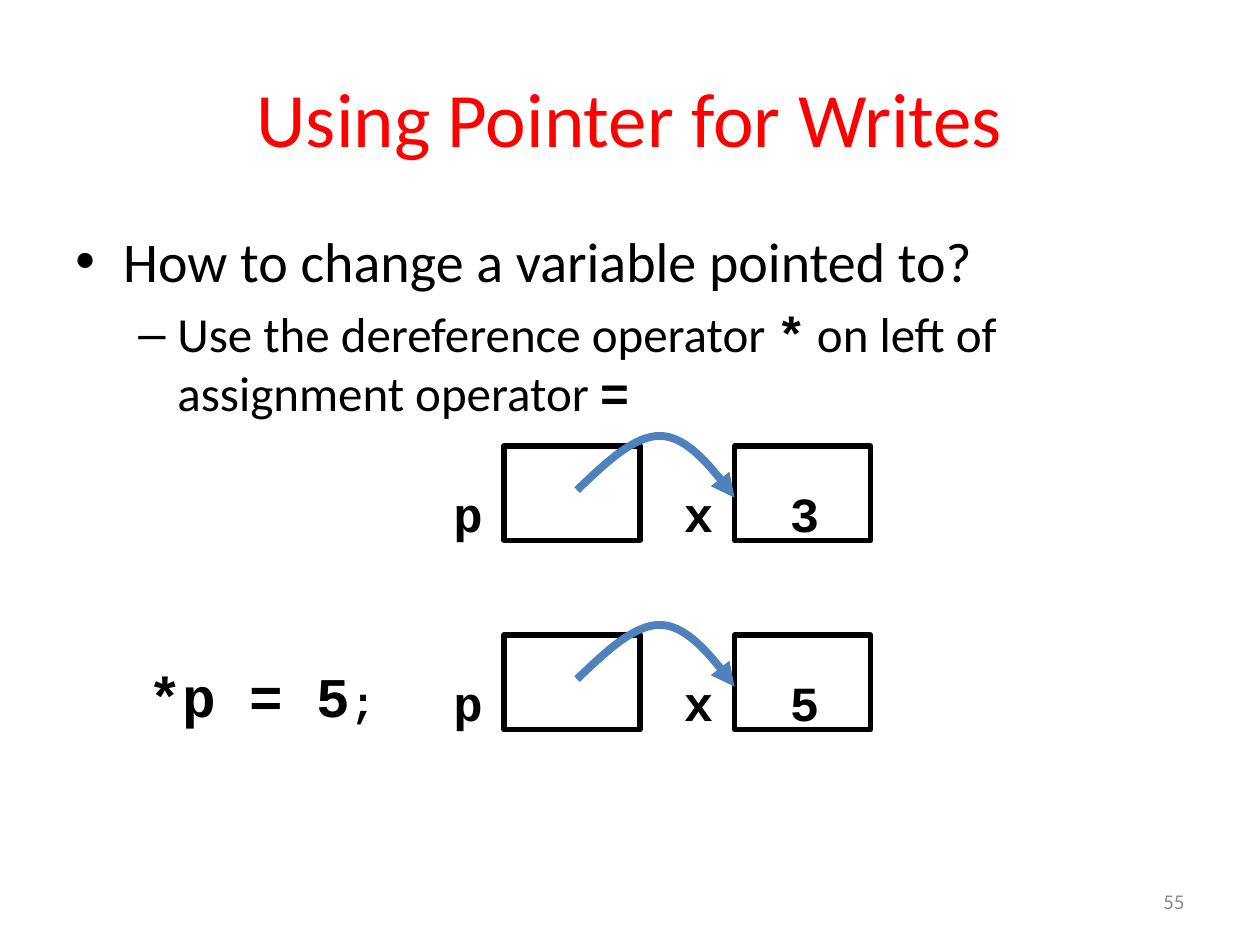
from dataclasses import dataclass

from lxml.etree import SubElement
from pptx import Presentation
from pptx.dml.color import RGBColor
from pptx.enum.shapes import MSO_SHAPE
from pptx.enum.text import MSO_ANCHOR, MSO_AUTO_SIZE, PP_ALIGN
from pptx.oxml.ns import qn
from pptx.util import Inches, Pt


@dataclass(frozen=True)
class Theme:
    sans: str = "Calibri"
    mono: str = "Courier New"
    ink: str = "000000"
    title_ink: str = "FF0000"
    accent: str = "4F81BD"
    muted: str = "8C8C8C"
    title: int = 44
    bullet: int = 32
    body: int = 28
    code_tail: int = 24
    footer: int = 12
    border: float = 3
    arrow: float = 4.5


class SlideBuilder:
    """Draws styled elements on one slide."""

    def __init__(self, slide, theme):
        self.slide = slide
        self.theme = theme

    def run(self, paragraph, text, size, code=False, color=None):
        run = paragraph.add_run()
        run.text = text
        run.font.name = self.theme.mono if code else self.theme.sans
        run.font.size = Pt(size)
        run.font.bold = code
        run.font.color.rgb = RGBColor.from_string(color or self.theme.ink)

    def text_frame(self, shapes, left, top, width, height, anchor=MSO_ANCHOR.TOP, wrap=True):
        box = shapes.add_textbox(Inches(left), Inches(top), Inches(width), Inches(height))
        frame = box.text_frame
        frame.word_wrap = wrap
        frame.vertical_anchor = anchor
        frame.auto_size = MSO_AUTO_SIZE.NONE if wrap else MSO_AUTO_SIZE.SHAPE_TO_FIT_TEXT
        return frame

    def label(self, left, top, width, height, text, size, color, align):
        frame = self.text_frame(self.slide.shapes, left, top, width, height, MSO_ANCHOR.MIDDLE)
        paragraph = frame.paragraphs[0]
        paragraph.alignment = align
        self.run(paragraph, text, size, color=color)

    def code(self, shapes, left, top, width, height, parts):
        frame = self.text_frame(shapes, left, top, width, height, wrap=False)
        for text, size in parts:
            self.run(frame.paragraphs[0], text, size, code=True)

    def bullet(self, paragraph, level, character, margin, hanging, size, parts):
        paragraph.level = level
        paragraph.space_before = Pt(size * 0.2)
        properties = paragraph._p.get_or_add_pPr()
        properties.set("marL", str(Inches(margin)))
        properties.set("indent", str(-Inches(hanging)))
        SubElement(properties, qn("a:buFont"), typeface="Arial")
        SubElement(properties, qn("a:buChar"), char=character)
        for text, code in parts:
            self.run(paragraph, text, size, code)

    def cell(self, shapes, left, top):
        shape = shapes.add_shape(
            MSO_SHAPE.RECTANGLE, Inches(left), Inches(top), Inches(1.08), Inches(0.75)
        )
        shape.shadow.inherit = False
        shape.fill.background()
        self.outline(shape, self.theme.ink, self.theme.border)

    def outline(self, shape, color, width):
        shape.line.color.rgb = RGBColor.from_string(color)
        shape.line.width = Pt(width)

    def curved_arrow(self, shapes, start, curves, steps=16):
        points = [start]
        for curve in curves:
            controls = (points[-1], *curve)
            for step in range(1, steps + 1):
                t = step / steps
                weights = ((1 - t) ** 3, 3 * t * (1 - t) ** 2, 3 * t * t * (1 - t), t**3)
                points.append(
                    tuple(sum(w * c[axis] for w, c in zip(weights, controls)) for axis in (0, 1))
                )
        corners = [(Inches(x), Inches(y)) for x, y in points]
        builder = shapes.build_freeform(*corners[0])
        builder.add_line_segments(corners[1:], close=False)
        shape = builder.convert_to_shape()
        shape.shadow.inherit = False
        shape.fill.background()
        self.outline(shape, self.theme.accent, self.theme.arrow)
        line = shape.line._get_or_add_ln()
        SubElement(line, qn("a:round"))
        SubElement(line, qn("a:tailEnd"), type="triangle")

    def pointer_diagram(self, top, value):
        shapes = self.slide.shapes.add_group_shape().shapes
        for name, left in (("p", 4), ("x", 5.83)):
            self.cell(shapes, left, top)
            self.code(shapes, left - 0.5, top + 0.25, 0.43, 0.57, [(name, self.theme.body)])
        self.code(shapes, 6.17, top + 0.25, 0.43, 0.57, [(value, self.theme.body)])
        curves = (
            ((4.81, top + 0.13), (5.04, top - 0.09), (5.25, top - 0.08)),
            ((5.46, top - 0.07), (5.65, top + 0.17), (5.83, top + 0.41)),
        )
        self.curved_arrow(shapes, (4.58, top + 0.35), curves)


def main():
    presentation = Presentation()
    presentation.slide_width = Inches(10)
    presentation.slide_height = Inches(7.5)
    slide = presentation.slides.add_slide(presentation.slide_layouts[6])
    theme = Theme()
    builder = SlideBuilder(slide, theme)

    builder.label(0.5, 0.3, 9, 1.25, "Using Pointer for Writes",
                  theme.title, theme.title_ink, PP_ALIGN.CENTER)
    body = builder.text_frame(slide.shapes, 0.5, 1.75, 9, 4.95)
    builder.bullet(body.paragraphs[0], 0, "•", 0.38, 0.38, theme.bullet,
                   [("How to change a variable pointed to?", False)])
    builder.bullet(body.add_paragraph(), 1, "–", 0.81, 0.31, theme.body, [
        ("Use the dereference operator ", False),
        ("*", True),
        (" on left of assignment operator ", False),
        ("=", True),
    ])
    builder.label(7.17, 6.95, 2.33, 0.4, "55", theme.footer, theme.muted, PP_ALIGN.RIGHT)

    builder.pointer_diagram(5.04, "5")
    builder.code(slide.shapes, 1.08, 5.2, 2, 0.63,
                 [("*p = 5", theme.bullet), (";", theme.code_tail)])
    builder.pointer_diagram(3.54, "3")
    presentation.save("out.pptx")


if __name__ == "__main__":
    main()
